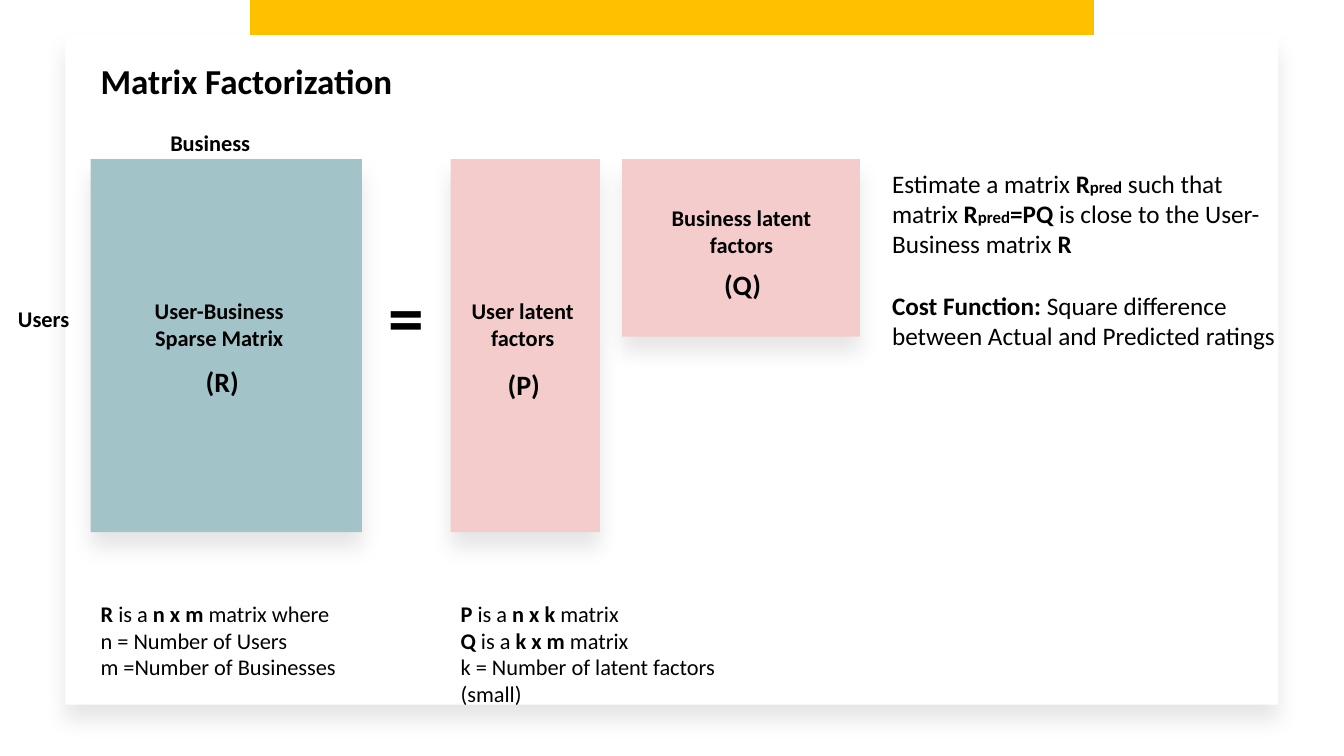
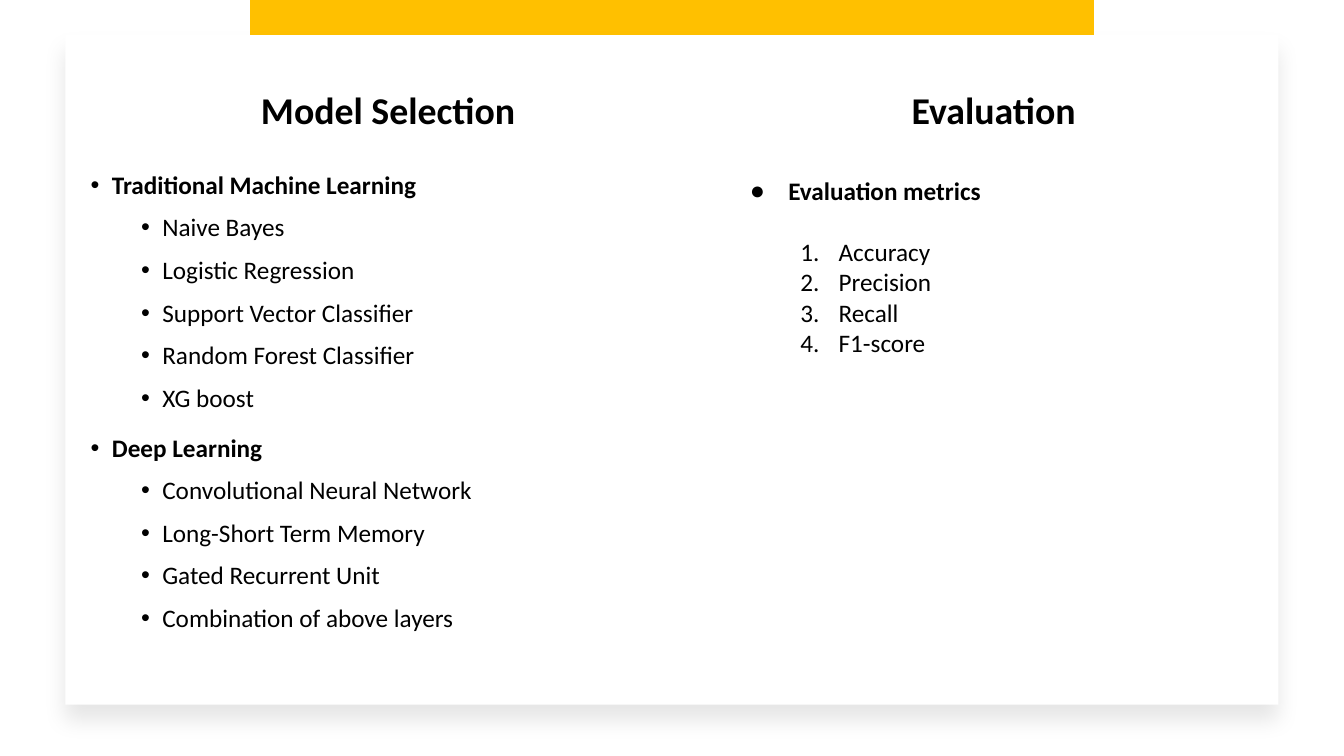
from pptx import Presentation
from pptx.dml.color import RGBColor
from pptx.enum.shapes import MSO_SHAPE as Preset
from pptx.enum.text import MSO_ANCHOR as Anchor, PP_ALIGN as Align
from pptx.oxml.ns import qn
from pptx.util import Inches, Pt
from lxml.etree import SubElement

# Shared style
FONT = "Calibri"
BLACK, WHITE, GOLD, TEAL, PINK = "000000", "FFFFFF", "FFC000", "A2C4C9", "F4CCCC"
BAND = (2.48, 0, 8.37, 6.05)
CARD = (0.65, 0.35, 12.03, 6.64)
INSET = (0.1, 0.1)
BLANK_LINE = 22  # points left in place of one line of 18-point text

# Content: a paragraph is a string or a list of (text, bold[, size]) runs
MATRICES = [
    ((0.9, 1.58, 2.69, 3.7), TEAL),
    ((4.47, 1.58, 1.48, 3.7), PINK),
    ((6.17, 1.58, 2.36, 1.76), PINK),
]
BOLD_LABELS = [  # place, size, alignment, paragraphs
    ((0.9, 0.49, 11.62, 1.08), 25, Align.LEFT, ["Matrix Factorization"]),
    ((0.08, 2.93, 0.91, 0.49), 16, Align.LEFT, ["Users"]),
    ((1.59, 1.18, 1.62, 0.49), 16, Align.LEFT, ["Business"]),
    ((3.75, 2.6, 0.91, 0.49), 51, Align.LEFT, ["="]),
    ((1.24, 2.85, 1.87, 0.49), 16, Align.CENTER, ["User-Business Sparse Matrix"]),
    ((4.25, 2.85, 1.87, 0.49), 16, Align.CENTER, ["User latent", "factors"]),
    ((6.42, 1.93, 1.87, 0.49), 16, Align.CENTER, ["Business latent", "factors"]),
    ((1.75, 3.52, 0.91, 0.49), 20, Align.CENTER, ["(R)"]),
    ((4.74, 3.55, 0.91, 0.49), 20, Align.CENTER, ["(P)"]),
    ((6.91, 2.55, 0.91, 0.49), 20, Align.CENTER, ["(Q)"]),
]
GOAL = [
    [("Estimate a matrix ", False), ("R", True), ("pred", True, 12),
     (" such that matrix ", False), ("R", True), ("pred", True, 12),
     ("=PQ ", True), ("is close to the User-Business matrix ", False), ("R", True)],
    [("Cost Function: ", True),
     ("Square difference between Actual and Predicted ratings", False)],
]
DIMENSIONS = [
    (0.9, [
        [("R ", True), ("is a ", False), ("n x m", True), (" matrix where", False)],
        "n = Number of Users",
        "m =Number of Businesses",
    ]),
    (4.47, [
        [("P ", True), ("is a ", False), ("n x k", True), (" matrix", False)],
        [("Q ", True), ("is a", False), (" k x m", True), (" matrix", False)],
        "k = Number of latent factors (small)",
    ]),
]
COLUMN_TITLES = [
    ("Model Selection", (1.07, 0.54, 5.56, 1.09)),
    ("Evaluation", (6.63, 0.54, 6.45, 1.09)),
]
MODELS = [
    ("Traditional Machine Learning",
     ["Naive Bayes", "Logistic Regression", "Support Vector Classifier",
      "Random Forest Classifier", "XG boost"]),
    ("Deep Learning",
     ["Convolutional Neural Network", "Long-Short Term Memory",
      "Gated Recurrent Unit", "Combination of above layers"]),
]
METRICS_HEADING = "Evaluation metrics"
METRICS = ["Accuracy", "Precision", "Recall", "F1-score"]


def rgb(color):
    return RGBColor.from_string(color)


def add_rectangle(slide, place, color, shadow=True):
    shape = slide.shapes.add_shape(Preset.RECTANGLE, *map(Inches, place))
    shape.shadow.inherit = False
    shape.fill.solid()
    shape.fill.fore_color.rgb = rgb(color)
    shape.line.fill.background()
    if shadow:
        effects = shape.element.spPr.find(qn("a:effectLst"))
        outer = SubElement(effects, qn("a:outerShdw"), blurRad=str(Pt(15)),
                           dist=str(Pt(11)), dir="5400000", algn="t", rotWithShape="0")
        tint = SubElement(outer, qn("a:srgbClr"), val=BLACK)
        SubElement(tint, qn("a:alpha"), val="10000")


def add_text(slide, place, paragraphs, size, bold=False, align=Align.LEFT,
             anchor=Anchor.TOP, inset=INSET):
    """Add a text box and return its paragraphs."""
    frame = slide.shapes.add_textbox(*map(Inches, place)).text_frame
    frame.word_wrap = True
    frame.vertical_anchor = anchor
    frame.margin_left = frame.margin_right = Inches(inset[0])
    frame.margin_top = frame.margin_bottom = Inches(inset[1])
    for index, content in enumerate(paragraphs):
        paragraph = frame.add_paragraph() if index else frame.paragraphs[0]
        paragraph.alignment = align
        runs = [(content, bold)] if isinstance(content, str) else content
        for text, run_bold, *run_size in runs:
            run = paragraph.add_run()
            run.text = text
            run.font.name = FONT
            run.font.size = Pt(run_size[0] if run_size else size)
            run.font.bold = run_bold
            run.font.color.rgb = rgb(BLACK)
    return frame.paragraphs


def set_bullet(paragraph, indent, hanging, symbol=None):
    """Give a paragraph a bullet symbol, or a number when there is none."""
    properties = paragraph._p.get_or_add_pPr()
    properties.set("marL", str(Inches(indent)))
    properties.set("indent", str(Inches(-hanging)))
    color = SubElement(properties, qn("a:buClr"))
    SubElement(color, qn("a:srgbClr"), val=BLACK)
    if symbol:
        SubElement(properties, qn("a:buFont"), typeface="Arial")
        SubElement(properties, qn("a:buChar"), char=symbol)
    else:
        SubElement(properties, qn("a:buFont"), typeface=FONT)
        SubElement(properties, qn("a:buAutoNum"), type="arabicPeriod")


def new_slide(presentation):
    slide = presentation.slides.add_slide(presentation.slide_layouts[6])
    add_rectangle(slide, BAND, GOLD, shadow=False)
    add_rectangle(slide, CARD, WHITE)
    return slide


def build_factorization(presentation):
    slide = new_slide(presentation)
    for place, color in MATRICES:
        add_rectangle(slide, place, color)
    for place, size, align, paragraphs in BOLD_LABELS:
        add_text(slide, place, paragraphs, size, bold=True, align=align)
    goal = add_text(slide, (8.75, 1.57, 4.17, 4.57), GOAL, 18)
    goal[1].space_before = Pt(BLANK_LINE)
    for left, paragraphs in DIMENSIONS:
        add_text(slide, (left, 5.85, 2.84, 1.08), paragraphs, 16)


def build_models(presentation):
    slide = new_slide(presentation)
    for title, place in COLUMN_TITLES:
        add_text(slide, place, [title], 27, bold=True, align=Align.CENTER,
                 anchor=Anchor.MIDDLE)

    # Model families: (text, level, space before)
    rows = []
    for family, models in MODELS:
        rows.append((family, 0, 16 if rows else 10))
        rows += [(model, 1, 11) for model in models]
    lines = add_text(slide, (0.86, 1.34, 11.61, 5.31),
                     [[(text, level == 0)] for text, level, _ in rows], 18,
                     anchor=Anchor.MIDDLE, inset=(0, 0.05))
    for paragraph, (_, level, gap) in zip(lines, rows):
        paragraph.level = level
        paragraph.line_spacing = 0.9
        paragraph.space_before = Pt(gap)
        set_bullet(paragraph, 0.25 + 0.5 * level, 0.21, "•")
    lines[-1].space_after = Pt(6)

    # Numbered metrics
    heading, *numbered = add_text(slide, (7.22, 1.64, 4.94, 4.22),
                                  [[(METRICS_HEADING, True)], *METRICS], 18)
    set_bullet(heading, 0.5, 0.38, "●")
    for paragraph in numbered:
        set_bullet(paragraph, 1, 0.38)
    numbered[0].space_before = Pt(BLANK_LINE)


def main():
    presentation = Presentation()
    presentation.slide_width = Inches(13.33)
    presentation.slide_height = Inches(7.5)
    build_factorization(presentation)
    build_models(presentation)
    presentation.save("out.pptx")


if __name__ == "__main__":
    main()
